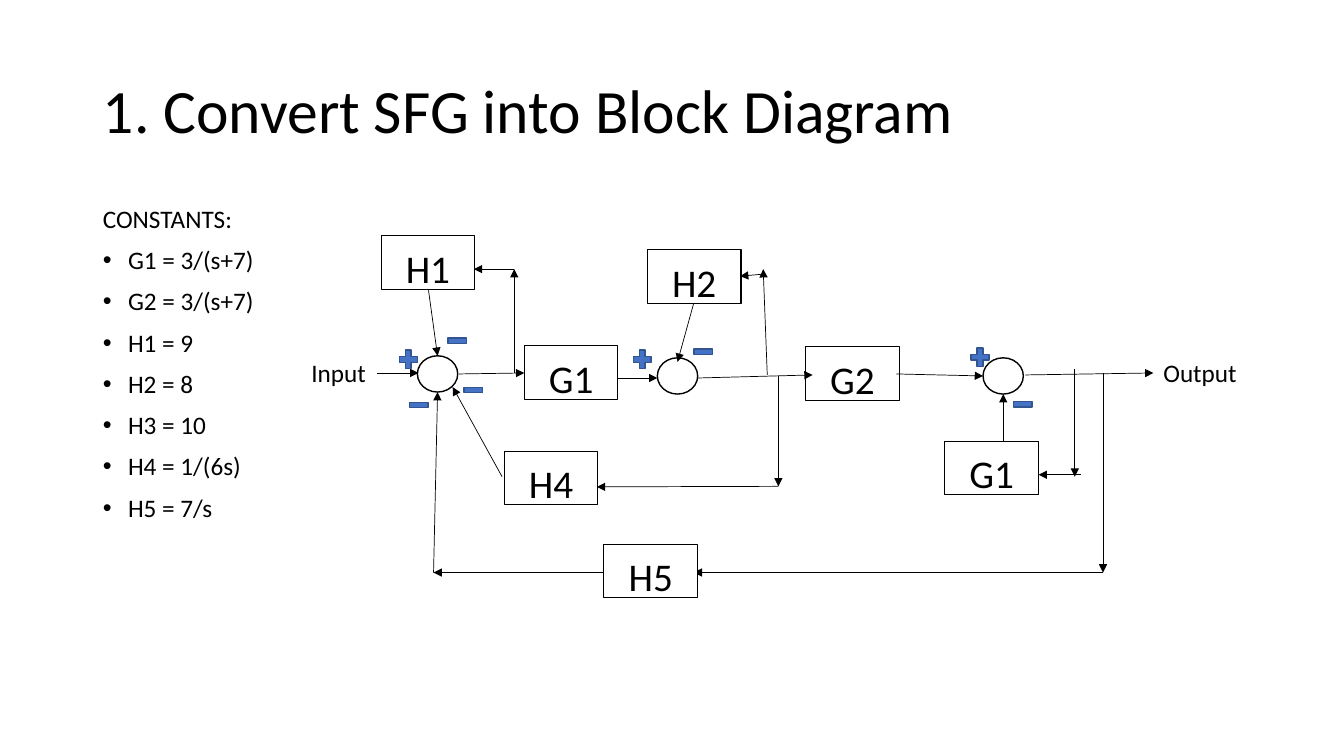
from itertools import pairwise
from pptx import Presentation
from pptx.dml.color import RGBColor
from pptx.enum.shapes import MSO_CONNECTOR, MSO_SHAPE
from pptx.enum.text import MSO_ANCHOR, MSO_AUTO_SIZE, PP_ALIGN
from pptx.oxml.ns import qn
from pptx.util import Inches, Pt
from lxml import etree

LINE = MSO_CONNECTOR.STRAIGHT
RECT, OVAL = MSO_SHAPE.RECTANGLE, MSO_SHAPE.OVAL
PLUS, MINUS = MSO_SHAPE.MATH_PLUS, MSO_SHAPE.MATH_MINUS
LEFT, MID = PP_ALIGN.LEFT, PP_ALIGN.CENTER
TOP, CORE = MSO_ANCHOR.TOP, MSO_ANCHOR.MIDDLE
FIXED = MSO_AUTO_SIZE.NONE
INK, PAPER, BLUE, NAVY = "000000", "FFFFFF", "4472C4", "325491"
UNIT = Inches(0.1)

HEAD = "1. Convert SFG into Block Diagram"
NOTES = ["CONSTANTS:", "G1 = 3/(s+7)", "G2 = 3/(s+7)", "H1 = 9", "H2 = 8",
         "H3 = 10", "H4 = 1/(6s)", "H5 = 7/s"]
BLOCKS = [("G1", 22, 14.3), ("G2", 49.9, 14.4), ("H2", 34.2, 4.8),
          ("G1", 63.7, 23.8), ("H4", 20, 24.8), ("H1", 7.8, 3.4),
          ("H5", 29.9, 34)]
ENDS = [("Input", -0.1, 15, 7.5), ("Output", 84.4, 15, 9.4)]
SUMS = [(11.4, 15.3), (35.2, 15.5), (67.5, 15.5)]
ADDS = [(9.3, 14.4), (32.5, 14.4), (66, 14.2)]
SUBS = [(14.1, 12.7), (15.7, 17.6), (10.3, 19.1), (38.5, 13.8), (70.2, 19)]
UNDER = [[(7.4, 17), (11.5, 17)],
         [(79.4, 36.8), (38.8, 36.8)]]
OVER = [[(15.5, 17.1), (22, 17)],
        [(21, 17), (21, 6.7), (17, 6.7)],
        [(12.5, 8.8), (13.4, 15.3)],
        [(31.3, 17.5), (35.2, 17.5)],
        [(39.2, 17.5), (50.6, 17.2)],
        [(47.2, 17.3), (47.2, 28.25), (29.2, 28.3)],
        [(19.8, 27.3), (14.9, 18.4)],
        [(46.1, 17.2), (45.7, 6.7)],
        [(45.7, 7.2), (43.4, 7.4)],
        [(38.8, 10.1), (37.2, 15.9)],
        [(58.9, 17.1), (67.5, 17.3)],
        [(71.7, 17.2), (84.4, 17)],
        [(76.6, 16.6), (76.6, 27.3)],
        [(77.2, 27.1), (73, 27.1)],
        [(69.5, 23.8), (69.5, 19.1)],
        [(79.4, 17), (79.4, 36.8)],
        [(29.9, 36.8), (13, 36.8), (13.4, 18.9)]]


def color(hue):
    return RGBColor.from_string(hue)


def units(*nums):
    return [round(n * UNIT) for n in nums]


def style(para, size, align=LEFT, gap=None, before=0, after=0):
    para.alignment = align
    para.line_spacing = gap
    para.space_before, para.space_after = Pt(before), Pt(after)
    for run in para.runs:
        run.font.size, run.font.name = Pt(size), "Calibri"
        run.font.color.rgb = color(INK)


def place(item, box):
    item.left, item.top, item.width, item.height = units(*box)


def title(slide, box):
    item = slide.shapes.title
    place(item, box)
    frame = item.text_frame
    frame.text = HEAD
    frame.vertical_anchor, frame.auto_size = CORE, FIXED
    style(frame.paragraphs[0], 44, gap=0.9)


def notes(slide, box):
    item = slide.placeholders[1]
    place(item, box)
    frame = item.text_frame
    frame.text = "\n".join(NOTES)
    frame.vertical_anchor, frame.auto_size = TOP, FIXED
    for rank, para in enumerate(frame.paragraphs):
        style(para, 18, gap=0.9, before=10)
        props = para._p.get_or_add_pPr()
        dent = Inches(0.25) if rank else 0
        props.set("marL", str(dent))
        props.set("indent", str(-dent))
        if rank:
            etree.SubElement(props, qn("a:buFont")).set("typeface", "Arial")
            etree.SubElement(props, qn("a:buChar")).set("char", "•")
        else:
            etree.SubElement(props, qn("a:buNone"))


def diagram(slide, col, row):
    def shape(kind, x, y, w, h, fill, edge, width):
        item = slide.shapes.add_shape(kind, *units(col + x, row + y, w, h))
        item.shadow.inherit = False
        item.fill.solid()
        item.fill.fore_color.rgb = color(fill)
        item.line.color.rgb = color(edge)
        item.line.width = Pt(width)
        return item

    def wires(paths):
        for path in paths:
            for (x, y), (u, v) in pairwise(path):
                ends = units(col + x, row + y, col + u, row + v)
                wire = slide.shapes.add_connector(LINE, *ends)
                wire.line.color.rgb = color(INK)
                wire.line.width = Pt(0.5)
                stroke = wire.line._get_or_add_ln()
                etree.SubElement(stroke, qn("a:tailEnd")).set("type", "triangle")
                etree.SubElement(wire._element.spPr, qn("a:effectLst"))

    for word, x, y, w in ENDS:
        item = slide.shapes.add_textbox(*units(col + x, row + y, w, 4))
        item.text_frame.word_wrap = False
        item.text_frame.text = word
        style(item.text_frame.paragraphs[0], 18)
    wires(UNDER)
    for word, x, y in BLOCKS:
        frame = shape(RECT, x, y, 9.3, 5.3, PAPER, INK, 0.75).text_frame
        frame.text = word
        frame.vertical_anchor = TOP
        style(frame.paragraphs[0], 28, MID, gap=1.07, after=8)
    for x, y in SUMS:
        shape(OVAL, x, y, 4, 3.6, PAPER, INK, 1)
    wires(OVER)
    for x, y in ADDS:
        shape(PLUS, x, y, 2.4, 2.5, BLUE, NAVY, 1)
    for x, y in SUBS:
        shape(MINUS, x, y, 2.5, 2.2, BLUE, NAVY, 1)


deck = Presentation()
deck.slide_width, deck.slide_height = Inches(13.33), Inches(7.5)
page = deck.slides.add_slide(deck.slide_layouts[1])
title(page, (9.2, 4, 115, 14.5))
notes(page, (9.2, 20, 115, 47.6))
diagram(page, 30, 20)
deck.save("out.pptx")
